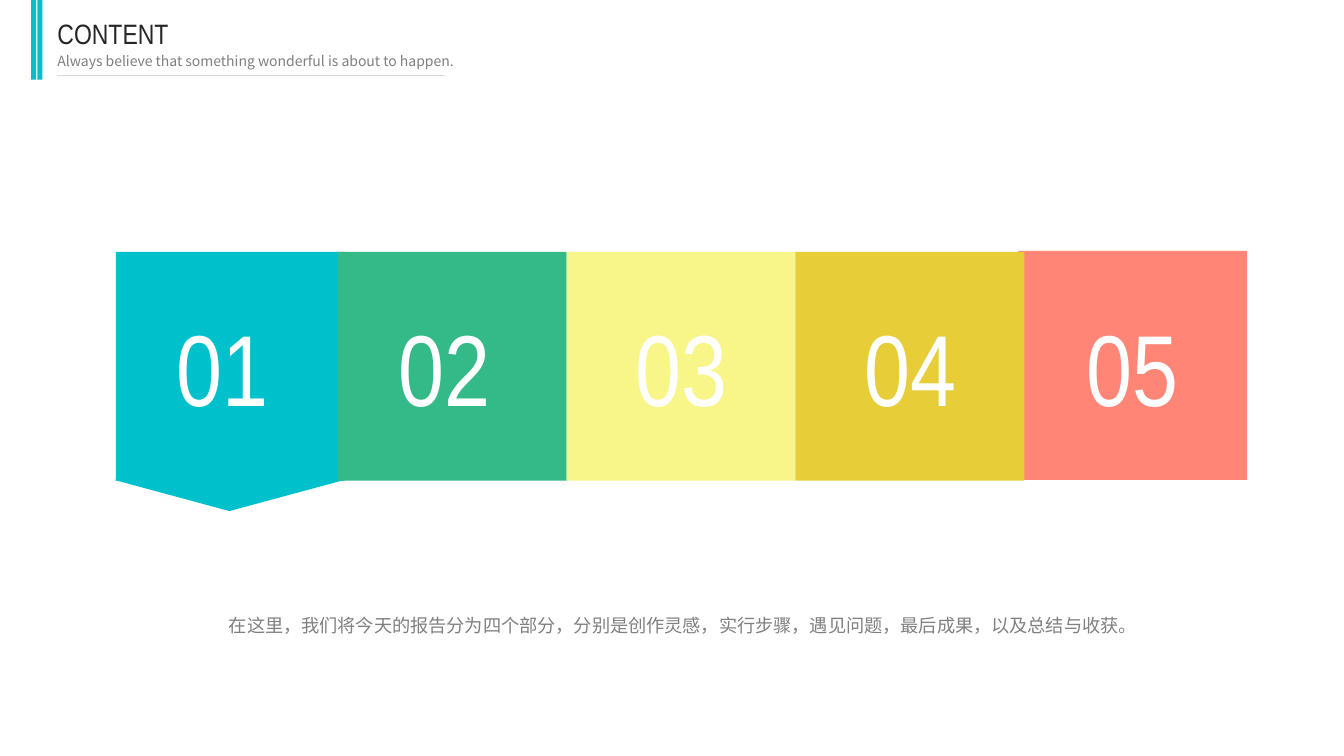
from dataclasses import dataclass

import pptx
import pptx.dml.color
import pptx.enum.shapes
import pptx.enum.text
import pptx.oxml.xmlchemy
import pptx.shapes.autoshape
import pptx.shapes.shapetree
import pptx.text.text
import pptx.util

RGBColor = pptx.dml.color.RGBColor
MSO_SHAPE = pptx.enum.shapes.MSO_SHAPE
PP_ALIGN = pptx.enum.text.PP_ALIGN
MSO_ANCHOR = pptx.enum.text.MSO_ANCHOR

EMU_PER_PX = 9144  # 100 px to the inch

TEAL = RGBColor(0x00, 0xC0, 0xCB)
GREEN = RGBColor(0x34, 0xBA, 0x89)
YELLOW = RGBColor(0xF8, 0xF6, 0x89)
GOLD = RGBColor(0xE7, 0xCE, 0x39)
CORAL = RGBColor(0xFF, 0x85, 0x77)
WHITE = RGBColor(0xFF, 0xFF, 0xFF)
INK = RGBColor(0x26, 0x26, 0x26)
SUBTITLE_GRAY = RGBColor(0x7F, 0x7F, 0x7F)
CAPTION_GRAY = RGBColor(0x80, 0x80, 0x80)
RULE_GRAY = RGBColor(0xD8, 0xD8, 0xD8)

TILE_SIZE = 227
NUMBER_WIDTH, NUMBER_HEIGHT, NUMBER_TOP = 144, 132, 297


@dataclass(frozen=True)
class Box:
    left: int
    top: int
    width: int
    height: int

    def emu(self) -> tuple[int, int, int, int]:
        return (px(self.left), px(self.top), px(self.width), px(self.height))


@dataclass(frozen=True)
class TextStyle:
    font: str
    size: int
    color: RGBColor
    align: PP_ALIGN = PP_ALIGN.LEFT
    anchor: MSO_ANCHOR = MSO_ANCHOR.TOP


@dataclass(frozen=True)
class Tile:
    number: str
    left: int
    top: int
    number_left: int
    color: RGBColor


TITLE_STYLE = TextStyle("Arial Narrow", 20, INK)
SUBTITLE_STYLE = TextStyle("Noto Sans CJK SC", 10, SUBTITLE_GRAY)
CAPTION_STYLE = TextStyle("Open Sans", 13, CAPTION_GRAY, PP_ALIGN.CENTER)
NUMBER_STYLE = TextStyle("Arial Narrow", 72, WHITE, PP_ALIGN.CENTER, MSO_ANCHOR.MIDDLE)

# Back to front: the fourth tile overlaps the fifth.
TILES = [
    Tile("01", 115, 250, 149, TEAL),
    Tile("02", 335, 250, 369, GREEN),
    Tile("05", 1010, 249, 1051, CORAL),
    Tile("03", 562, 250, 604, YELLOW),
    Tile("04", 789, 250, 831, GOLD),
]


def px(length: int) -> int:
    return pptx.util.Emu(length * EMU_PER_PX)


def add_filled(
    shapes: pptx.shapes.shapetree.GroupShapes | pptx.shapes.shapetree.SlideShapes,
    box: Box,
    color: RGBColor,
    kind: MSO_SHAPE = MSO_SHAPE.RECTANGLE,
) -> pptx.shapes.autoshape.Shape:
    shape = shapes.add_shape(kind, *box.emu())
    shape.shadow.inherit = False
    shape.fill.solid()
    shape.fill.fore_color.rgb = color
    shape.line.fill.background()
    return shape


def write(frame: pptx.text.text.TextFrame, text: str, style: TextStyle) -> None:
    frame.text = text
    frame.word_wrap = True
    frame.auto_size = pptx.enum.text.MSO_AUTO_SIZE.SHAPE_TO_FIT_TEXT
    frame.vertical_anchor = style.anchor
    frame.margin_left = frame.margin_right = px(5)
    frame.margin_top = frame.margin_bottom = px(5)
    paragraph = frame.paragraphs[0]
    paragraph.alignment = style.align
    run = paragraph.runs[0]
    run.font.name = style.font
    run.font.size = pptx.util.Pt(style.size)
    run.font.color.rgb = style.color


def add_text(
    shapes: pptx.shapes.shapetree.SlideShapes, box: Box, text: str, style: TextStyle
) -> None:
    write(shapes.add_textbox(*box.emu()).text_frame, text, style)


def add_header(shapes: pptx.shapes.shapetree.SlideShapes) -> None:
    bars = shapes.add_group_shape().shapes
    for left in (31, 37):
        add_filled(bars, Box(left, 0, 5, 79), TEAL)

    title = shapes.title
    title.left, title.top, title.width, title.height = Box(52, 11, 423, 43).emu()
    write(title.text_frame, "CONTENT", TITLE_STYLE)
    add_text(
        shapes,
        Box(52, 47, 423, 27),
        "Always believe that something wonderful is about to happen.",
        SUBTITLE_STYLE,
    )

    rule = shapes.add_connector(
        pptx.enum.shapes.MSO_CONNECTOR.STRAIGHT, px(57), px(75), px(441), px(75)
    )
    rule.line.color.rgb = RULE_GRAY
    rule.line.width = pptx.util.Pt(0.75)
    rule._element.spPr.append(pptx.oxml.xmlchemy.OxmlElement("a:effectLst"))


def add_tiles(shapes: pptx.shapes.shapetree.SlideShapes) -> None:
    for index, tile in enumerate(TILES):
        box = Box(tile.left, tile.top, TILE_SIZE, TILE_SIZE)
        if index > 0:
            add_filled(shapes, box, tile.color)
            continue
        marker = shapes.add_group_shape().shapes
        add_filled(marker, box, tile.color)
        pointer_box = Box(113, 476, 229, 31)
        pointer = add_filled(
            marker, pointer_box, tile.color, MSO_SHAPE.ISOSCELES_TRIANGLE
        )
        pointer.rotation = 180

    for tile in sorted(TILES, key=lambda tile: tile.number):
        box = Box(tile.number_left, NUMBER_TOP, NUMBER_WIDTH, NUMBER_HEIGHT)
        add_text(shapes, box, tile.number, NUMBER_STYLE)


def main() -> None:
    presentation = pptx.Presentation()
    presentation.slide_width = px(1333)
    presentation.slide_height = px(750)
    title_only = presentation.slide_layouts[5]
    shapes = presentation.slides.add_slide(title_only).shapes

    add_text(
        shapes,
        Box(198, 604, 958, 32),
        "在这里，我们将今天的报告分为四个部分，分别是创作灵感，实行步骤，遇见问题，最后成果，以及总结与收获。",
        CAPTION_STYLE,
    )
    add_tiles(shapes)
    add_header(shapes)
    presentation.save("out.pptx")


if __name__ == "__main__":
    main()
